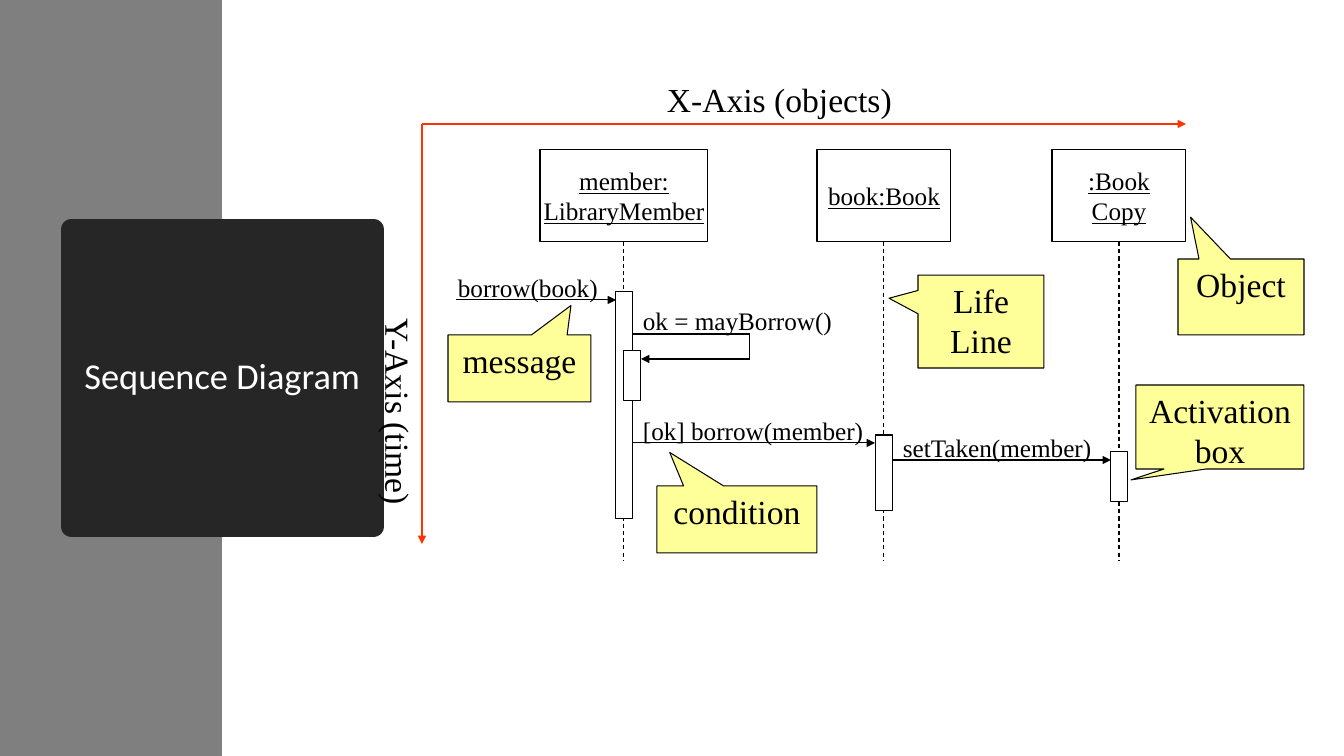
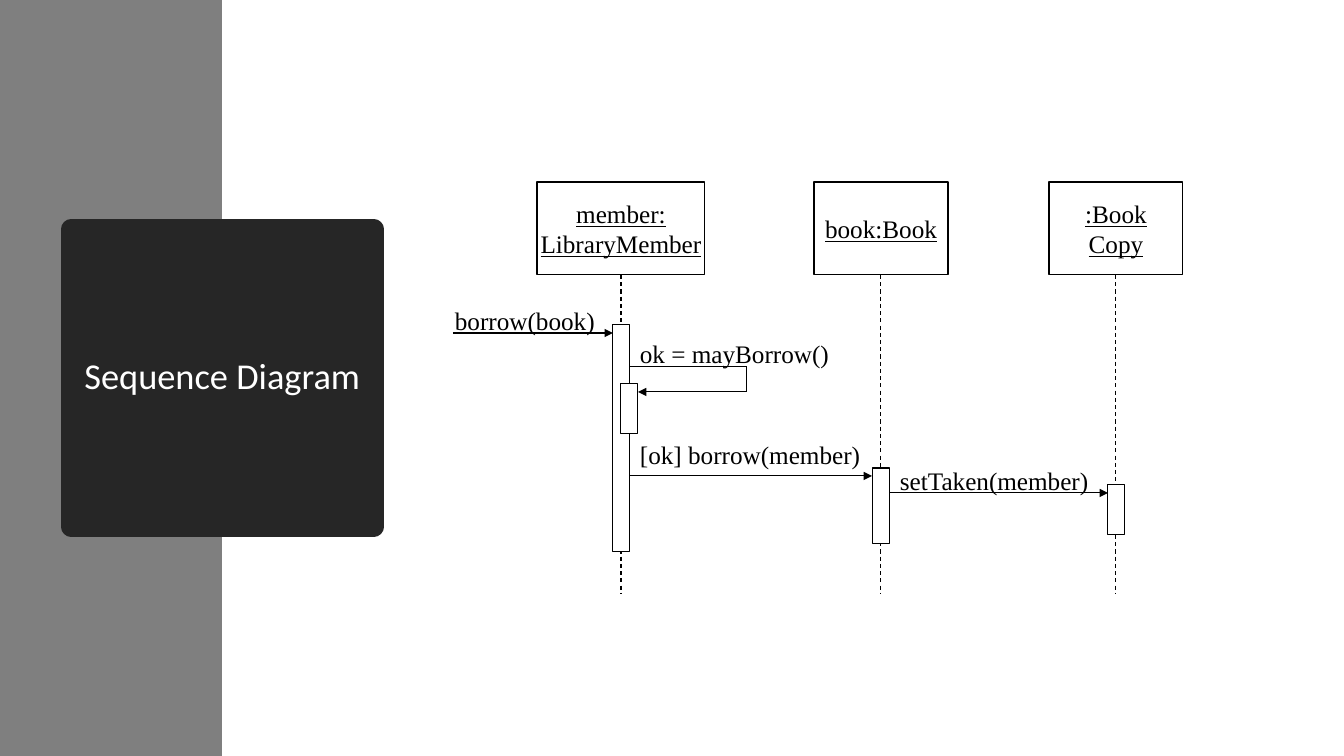
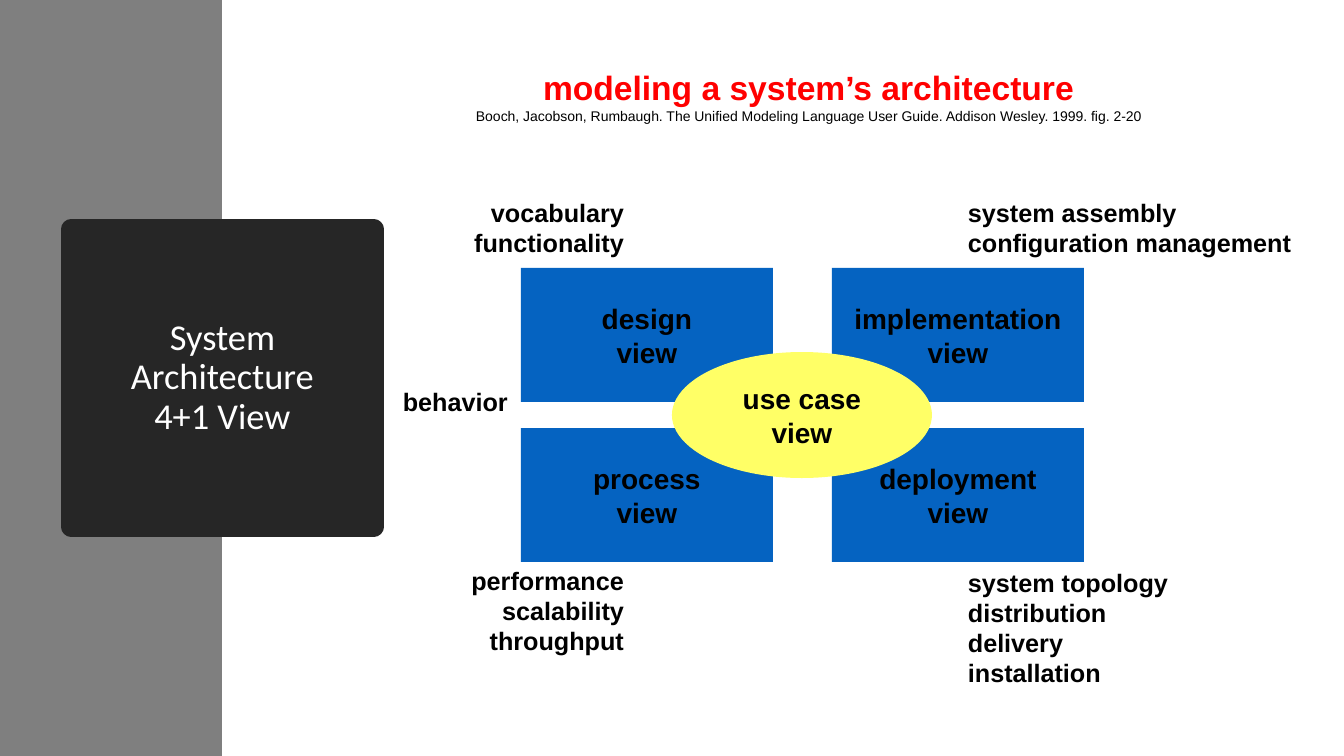
from pptx import Presentation
from pptx.dml.color import RGBColor
from pptx.enum.dml import MSO_LINE
from pptx.enum.shapes import MSO_CONNECTOR, MSO_SHAPE as SHAPE
from pptx.enum.text import MSO_ANCHOR as ANCHOR, MSO_AUTO_SIZE as AUTO, PP_ALIGN as ALIGN
from pptx.oxml.ns import qn
from pptx.util import Pt
from lxml import etree

COLORS = {
    "band": "7F7F7F",
    "panel": "262626",
    "white": "FFFFFF",
    "black": "000000",
    "axis": "FF3300",
    "callout": "FFFF99",
    "view": "0563C1",
    "use_case": "FFFF66",
    "heading": "FF0000",
}
SERIF = "Times New Roman"
SANS = "Arial"
BAR_W = 17


def px(n):
    return round(n * 914400 / 100.8)


def rgb(name):
    return RGBColor.from_string(COLORS[name])


def write(tf, paragraphs, size, font, color="black", align=ALIGN.LEFT, bold=False, underline=False):
    for text in paragraphs:
        p = tf.add_paragraph() if tf.text else tf.paragraphs[0]
        p.alignment = align
        for i, line in enumerate(text.split("\n")):
            if i:
                p.add_line_break()
            r = p.add_run()
            r.text = line
            r.font.size = Pt(size)
            r.font.name = font
            r.font.bold = bold
            r.font.underline = underline
            r.font.color.rgb = rgb(color)


def add_box(slide, kind, x, y, w, h, fill=None, line=None):
    sp = slide.shapes.add_shape(kind, px(x), px(y), px(w), px(h))
    sp.shadow.inherit = False
    if fill:
        sp.fill.solid()
        sp.fill.fore_color.rgb = rgb(fill)
    else:
        sp.fill.background()
    if line:
        sp.line.color.rgb = rgb(line)
        sp.line.width = Pt(0.75)
    else:
        sp.line.fill.background()
    return sp


def add_label(slide, x, y, w, h, paragraphs, size, font, **style):
    tf = slide.shapes.add_textbox(px(x), px(y), px(w), px(h)).text_frame
    tf.word_wrap = False
    tf.auto_size = AUTO.SHAPE_TO_FIT_TEXT
    write(tf, paragraphs, size, font, **style)
    return tf


def add_line(slide, x1, y1, x2, y2, color="black", width=0.75, arrow=False, dashed=False):
    line = slide.shapes.add_connector(MSO_CONNECTOR.STRAIGHT, px(x1), px(y1), px(x2), px(y2))
    line.line.color.rgb = rgb(color)
    line.line.width = Pt(width)
    if dashed:
        line.line.dash_style = MSO_LINE.DASH
    if arrow:
        etree.SubElement(line.line._get_or_add_ln(), qn("a:tailEnd"), type="triangle")
    etree.SubElement(line._element.spPr, qn("a:effectLst"))
    return line


def add_slide(prs, title):
    slide = prs.slides.add_slide(prs.slide_layouts[5])
    band = add_box(slide, SHAPE.RECTANGLE, 0, 0, 222, 756, "band")
    sp = slide.shapes.title
    sp._element.addprevious(band._element)
    sp.left, sp.top, sp.width, sp.height = px(71), px(229), px(303), px(298)
    sp.fill.solid()
    sp.fill.fore_color.rgb = rgb("panel")
    sp.line.color.rgb = rgb("panel")
    sp.line.width = Pt(13.75)
    etree.SubElement(sp.line._get_or_add_ln(), qn("a:round"))
    tf = sp.text_frame
    tf.word_wrap = True
    tf.auto_size = AUTO.NONE
    tf.vertical_anchor = ANCHOR.MIDDLE
    write(tf, [title], 26, "Calibri", "white", ALIGN.CENTER)
    tf.paragraphs[0].line_spacing = 0.9
    return slide


def add_object(slide, center, top, w, name):
    sp = add_box(slide, SHAPE.RECTANGLE, center - w // 2, top, w, 93, line="black")
    tf = sp.text_frame
    tf.word_wrap = False
    tf.vertical_anchor = ANCHOR.MIDDLE
    write(tf, [name], 18, SERIF, align=ALIGN.CENTER, underline=True)
    lifeline = add_line(slide, center, top + 93, center, top + 412, dashed=True)
    lifeline.begin_connect(sp, 2)


def add_activation(slide, x, y, h):
    add_box(slide, SHAPE.RECTANGLE, x, y, BAR_W, h, "white", "black")


def add_message(slide, x1, x2, y, text, label_x, label_y, label_w):
    add_line(slide, x1, y, x2, y, arrow=True)
    add_label(slide, label_x, label_y, label_w, 40, [text], 18, SERIF)


def add_sequence(slide, left, top, condition_rise):
    member, book, copy = left + 84, left + 344, left + 579
    for center, w, name in (
        (member, 168, "member:\nLibraryMember"),
        (book, 134, "book:Book"),
        (copy, 134, ":Book\nCopy"),
    ):
        add_object(slide, center, top, w, name)

    member_bar, book_bar, copy_bar = member - 8, book - 8, copy - 8
    after_member, after_book = member_bar + BAR_W, book_bar + BAR_W
    add_activation(slide, member_bar, top + 143, 227)
    add_activation(slide, book_bar, top + 286, 76)
    add_activation(slide, copy_bar, top + 303, 50)

    add_message(slide, left - 84, member_bar, top + 151, "borrow(book)", left - 92, top + 118, 160)
    turn, call_y, return_y = left + 210, top + 185, top + 210
    add_line(slide, after_member, call_y, turn, call_y)
    add_line(slide, turn, call_y, turn, return_y)
    add_line(slide, turn, return_y, member + BAR_W, return_y, arrow=True)
    add_activation(slide, member, top + 202, 50)
    add_label(slide, after_member, top + 151, 210, 40, ["ok = mayBorrow()"], 18, SERIF)
    call_y = top + 294
    add_message(slide, after_member, book_bar - 1, call_y, "[ok] borrow(member)",
                after_member, call_y - condition_rise, 241)
    add_message(slide, after_book, copy_bar, top + 311, "setTaken(member)", after_book, top + 278, 211)


def add_axes(slide):
    add_line(slide, 422, 124, 1186, 124, "axis", 1.75, arrow=True)
    add_line(slide, 422, 124, 422, 544, "axis", 2, arrow=True)
    add_label(slide, 657, 74, 245, 50, ["X-Axis (objects)"], 24, SERIF)
    tf = add_label(slide, 363, 309, 61, 198, ["Y-Axis (time)"], 24, SERIF)
    tf._txBody.bodyPr.set("vert", "eaVert")


def add_callout(slide, x, y, w, h, tip, text):
    sp = add_box(slide, SHAPE.RECTANGULAR_CALLOUT, x, y, w, h, "callout", "black")
    sp.adjustments[0], sp.adjustments[1] = tip
    tf = sp.text_frame
    tf.word_wrap = True
    tf.vertical_anchor = ANCHOR.TOP
    write(tf, [text], 24, SERIF, align=ALIGN.CENTER)


def add_view(slide, kind, x, y, w, h, fill, name):
    tf = add_box(slide, kind, x, y, w, h, fill).text_frame
    tf.word_wrap = False
    tf.vertical_anchor = ANCHOR.MIDDLE
    write(tf, [name, "view"], 20, SANS, align=ALIGN.CENTER, bold=True)


def add_annotated_sequence(prs):
    slide = add_slide(prs, "Sequence Diagram")
    add_sequence(slide, 540, 149, 33)
    add_axes(slide)
    for callout in (
        (1178, 259, 126, 76, (-0.4, -1.05), "Object"),
        (918, 275, 126, 93, (-0.73, -0.25), "Life Line"),
        (448, 335, 143, 67, (0.36, -0.94), "message"),
        (1136, 385, 168, 84, (-0.53, 0.63), "Activation box"),
        (657, 486, 160, 67, (-0.42, -1), "condition"),
    ):
        add_callout(slide, *callout)


def add_plain_sequence(prs):
    slide = add_slide(prs, "Sequence Diagram")
    add_sequence(slide, 537, 182, 42)


def add_architecture(prs):
    slide = add_slide(prs, "System Architecture\n4+1 View")
    views = (("design", "implementation"), ("process", "deployment"))
    for row, names in enumerate(views):
        for col, name in enumerate(names):
            add_view(slide, SHAPE.RECTANGLE, 521 + 311 * col, 268 + 160 * row, 252, 134, "view", name)
    add_view(slide, SHAPE.OVAL, 672, 352, 260, 126, "use_case", "use case")

    for x, y, w, h, align, concerns in (
        (464, 192, 170, 71, ALIGN.RIGHT, ["vocabulary", "functionality"]),
        (393, 381, 125, 40, ALIGN.LEFT, ["behavior"]),
        (461, 560, 173, 101, ALIGN.RIGHT, ["performance", "scalability", "throughput"]),
        (958, 192, 344, 71, ALIGN.LEFT, ["system assembly", "configuration management"]),
        (958, 562, 221, 131, ALIGN.LEFT, ["system topology", "distribution", "delivery", "installation"]),
    ):
        add_label(slide, x, y, w, h, concerns, 18, SANS, align=align, bold=True)

    tf = add_label(slide, 464, 62, 689, 68, ["modeling a system’s architecture"], 24, SANS,
                   color="heading", align=ALIGN.CENTER, bold=True)
    source = ("Booch, Jacobson, Rumbaugh. The Unified Modeling Language User Guide. "
              "Addison Wesley. 1999. fig. 2-20")
    write(tf, [source], 10, SANS, align=ALIGN.CENTER)


def main():
    prs = Presentation()
    prs.slide_width, prs.slide_height = px(1344), px(756)
    add_annotated_sequence(prs)
    add_plain_sequence(prs)
    add_architecture(prs)
    prs.save("out.pptx")


if __name__ == "__main__":
    main()
